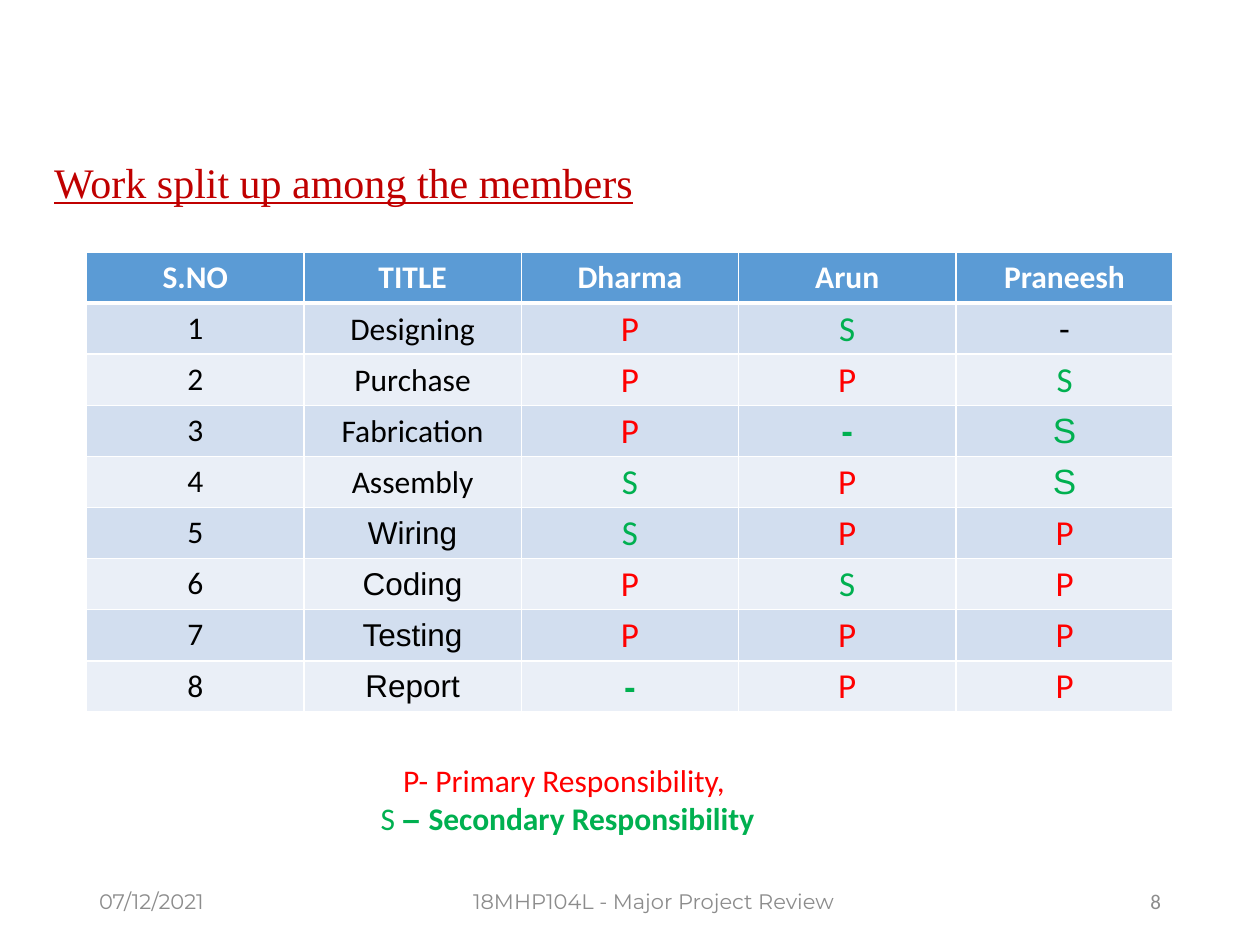
from lxml import etree
from pptx import Presentation
from pptx.dml.color import RGBColor
from pptx.enum.text import MSO_ANCHOR, MSO_AUTO_SIZE, PP_ALIGN
from pptx.oxml.ns import qn
from pptx.util import Pt

RED, GREEN, BLACK, WHITE, GREY = "FF0000", "00B050", "000000", "FFFFFF", "8C8C8C"
HEADER_FILL, BANDS = "5B9BD5", ("D2DEEF", "EAEFF7")

MEMBERS = ["Dharma", "Arun", "Praneesh"]
TASKS = [
    ("Designing", "PS-"),
    ("Purchase", "PPS"),
    ("Fabrication", "P-S"),
    ("Assembly", "SPS"),
    ("Wiring", "SPP"),
    ("Coding", "PSP"),
    ("Testing", "PPP"),
    ("Report", "-PP"),
]
FIRST_ARIAL_TASK = 5
ARIAL_MARKS = {(3, "Arun"), (3, "Praneesh"), (4, "Praneesh"), (8, "Dharma")}


def rgb(hex_color):
    return RGBColor.from_string(hex_color)


class SlideBuilder:
    def __init__(self, slide, font="Calibri"):
        self.slide = slide
        self.font = font

    def run(self, paragraph, text, size=18, color=BLACK, font=None, bold=False, underline=False):
        run = paragraph.add_run()
        run.text = text
        run.font.name = font or self.font
        run.font.size = Pt(size)
        run.font.bold = bold
        run.font.underline = underline
        run.font.color.rgb = rgb(color)

    def title(self, text, left, top, width, height):
        title = self.slide.shapes.title
        title.left, title.top, title.width, title.height = map(Pt, (left, top, width, height))
        frame = title.text_frame
        frame.auto_size = MSO_AUTO_SIZE.NONE
        frame.vertical_anchor = MSO_ANCHOR.MIDDLE
        paragraph = frame.paragraphs[0]
        paragraph.alignment = PP_ALIGN.LEFT
        paragraph.line_spacing = 0.9
        self.run(paragraph, text, 24, "C00000", "Times New Roman", underline=True)

    def text(self, lines, left, top, width, height, align, anchor=MSO_ANCHOR.TOP):
        """Each line is a list of (text, run options) pairs."""
        frame = self.slide.shapes.add_textbox(*map(Pt, (left, top, width, height))).text_frame
        frame.word_wrap = True
        frame.vertical_anchor = anchor
        for index, line in enumerate(lines):
            paragraph = frame.add_paragraph() if index else frame.paragraphs[0]
            paragraph.alignment = align
            for text, options in line:
                self.run(paragraph, text, **options)

    def table(self, rows, columns, left, top, width, height):
        frame = self.slide.shapes.add_table(rows, columns, *map(Pt, (left, top, width, height)))
        table = frame.table
        table.horz_banding = False
        for column in table.columns:
            column.width = Pt(width / columns)
        for row in table.rows:
            row.height = Pt(height / rows)
        return table

    def border(self, cell, side, width):
        line = etree.SubElement(cell._tc.get_or_add_tcPr(), qn(f"a:ln{side}"), w=str(Pt(width)))
        fill = etree.SubElement(line, qn("a:solidFill"))
        etree.SubElement(fill, qn("a:srgbClr"), val=WHITE)

    def cell(self, cell, text, fill, top=1, bottom=1, tight=False, **options):
        for side, width in (("L", 1), ("R", 1), ("T", top), ("B", bottom)):
            self.border(cell, side, width)
        cell.fill.solid()
        cell.fill.fore_color.rgb = rgb(fill)
        if tight:
            cell.vertical_anchor = MSO_ANCHOR.MIDDLE
            cell.margin_left = cell.margin_top = cell.margin_right = Pt(0.75)
            cell.margin_bottom = 0
        paragraph = cell.text_frame.paragraphs[0]
        paragraph.alignment = PP_ALIGN.CENTER
        self.run(paragraph, text, **options)


def mark_style(mark, number, member):
    arial = (number, member) in ARIAL_MARKS
    dash = mark == "-"
    color = RED if mark == "P" else BLACK if dash and not arial else GREEN
    return {"size": 20, "color": color, "font": "Arial" if arial else None, "bold": dash and arial}


def add_work_split(builder):
    headings = ["S.NO", "TITLE", *MEMBERS]
    table = builder.table(len(TASKS) + 1, len(headings), 49.5, 144, 621, 263)
    for column, heading in enumerate(headings):
        builder.cell(table.cell(0, column), heading, HEADER_FILL, bottom=3, color=WHITE, bold=True)
    for number, (task, marks) in enumerate(TASKS, 1):
        fill = BANDS[(number - 1) % 2]
        top = 3 if number == 1 else 1
        task_font = "Arial" if number >= FIRST_ARIAL_TASK else None
        builder.cell(table.cell(number, 0), str(number), fill, top)
        builder.cell(table.cell(number, 1), task, fill, top, tight=True, font=task_font)
        for column, (member, mark) in enumerate(zip(MEMBERS, marks), 2):
            builder.cell(table.cell(number, column), mark, fill, top, tight=True,
                         **mark_style(mark, number, member))


def main():
    deck = Presentation()
    deck.slide_width, deck.slide_height = Pt(720), Pt(540)
    builder = SlideBuilder(deck.slides.add_slide(deck.slide_layouts[5]))

    builder.title("Work split up among the members", 23.76, 53.3, 620.6, 104.4)
    footers = [
        ("07/12/2021", 49.5, 162, PP_ALIGN.LEFT, "Montserrat"),
        ("18MHP104L - Major Project Review", 238.5, 270, PP_ALIGN.CENTER, "Montserrat"),
        ("8", 508.5, 162, PP_ALIGN.RIGHT, "Calibri"),
    ]
    for text, left, width, align, font in footers:
        style = {"size": 12, "color": GREY, "font": font}
        builder.text([[(text, style)]], left, 500.5, width, 28.75, align, MSO_ANCHOR.MIDDLE)

    add_work_split(builder)

    legend = [
        [("P- Primary Responsibility, ", {"color": RED})],
        [
            ("S ", {"color": GREEN}),
            ("– ", {"color": GREEN, "font": "Arial", "bold": True}),
            ("Secondary Responsibility", {"color": GREEN, "bold": True}),
        ],
    ]
    builder.text(legend, 125.3, 431.3, 398.2, 51.1, PP_ALIGN.CENTER)
    deck.save("out.pptx")


if __name__ == "__main__":
    main()
